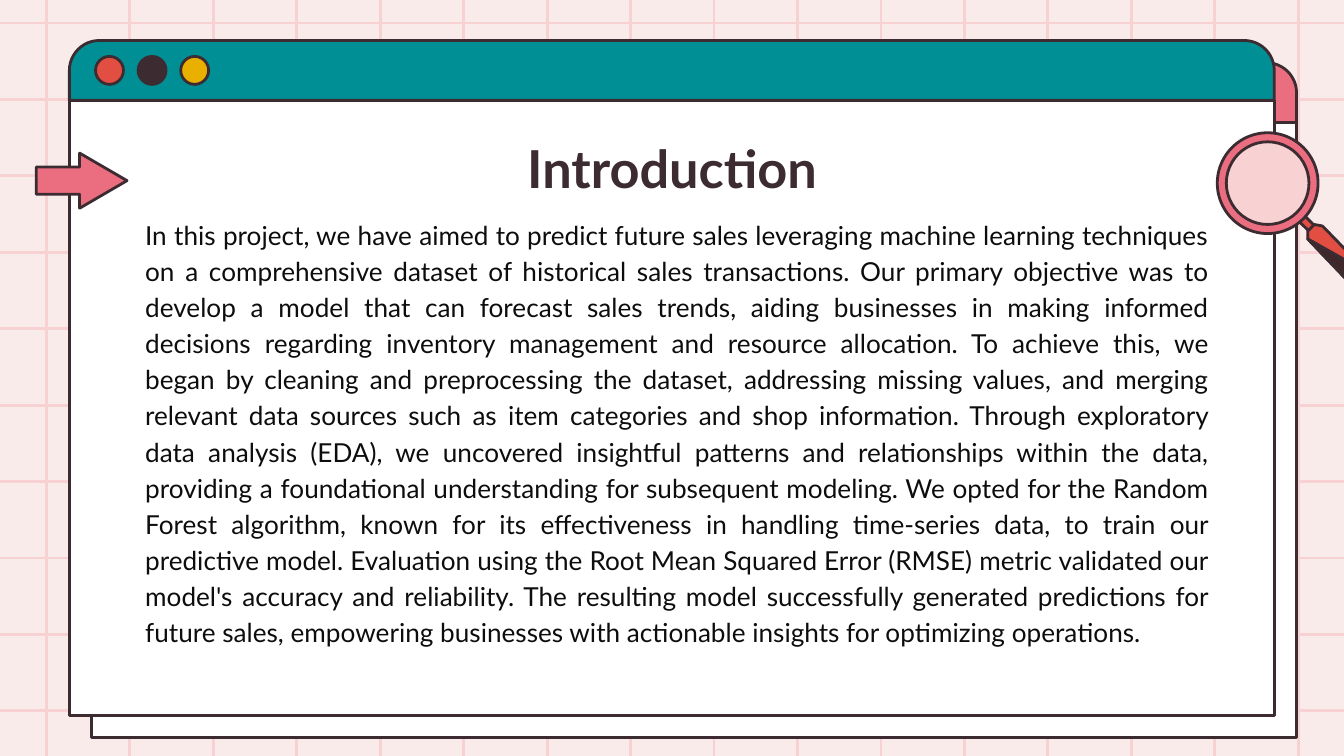
"""Build the Introduction slide: a browser window on a pink grid."""
from lxml import etree
from pptx import Presentation
from pptx.dml.color import RGBColor
from pptx.enum.shapes import MSO_CONNECTOR, MSO_SHAPE
from pptx.enum.text import MSO_ANCHOR, MSO_AUTO_SIZE, PP_ALIGN
from pptx.oxml.ns import qn
from pptx.util import Inches, Pt

STRAIGHT = MSO_CONNECTOR.STRAIGHT
RECTANGLE, OVAL, DONUT = MSO_SHAPE.RECTANGLE, MSO_SHAPE.OVAL, MSO_SHAPE.DONUT
ARROW, ROUND_TOP = MSO_SHAPE.RIGHT_ARROW, MSO_SHAPE.ROUND_2_SAME_RECTANGLE
CENTER, JUSTIFY = PP_ALIGN.CENTER, PP_ALIGN.JUSTIFY
TOP, NO_FIT = MSO_ANCHOR.TOP, MSO_AUTO_SIZE.NONE

BLUSH = RGBColor(0xFA, 0xEB, 0xEB)
ROSE = RGBColor(0xF8, 0xD2, 0xD2)
PINK = RGBColor(0xEB, 0x6E, 0x80)
TEAL = RGBColor(0x00, 0x8F, 0x95)
RED = RGBColor(0xE2, 0x4E, 0x42)
YELLOW = RGBColor(0xE9, 0xB0, 0x00)
INK = RGBColor(0x3C, 0x2C, 0x31)
SHADE = RGBColor(0x3E, 0x28, 0x2C)
BLACK = RGBColor(0x0D, 0x0D, 0x0D)
WHITE = RGBColor(0xFF, 0xFF, 0xFF)
STROKE = Pt(1.5)

SENTENCES = (
    "In this project, we have aimed to predict future sales leveraging machine "
    "learning techniques on a comprehensive dataset of historical sales transactions.",
    "Our primary objective was to develop a model that can forecast sales trends, "
    "aiding businesses in making informed decisions regarding inventory management "
    "and resource allocation.",
    "To achieve this, we began by cleaning and preprocessing the dataset, addressing "
    "missing values, and merging relevant data sources such as item categories and "
    "shop information.",
    "Through exploratory data analysis (EDA), we uncovered insightful patterns and "
    "relationships within the data, providing a foundational understanding for "
    "subsequent modeling.",
    "We opted for the Random Forest algorithm, known for its effectiveness in "
    "handling time-series data, to train our predictive model.",
    "Evaluation using the Root Mean Squared Error (RMSE) metric validated our "
    "model's accuracy and reliability.",
    "The resulting model successfully generated predictions for future sales, "
    "empowering businesses with actionable insights for optimizing operations.",
)

deck = Presentation()
deck.slide_width, deck.slide_height = Inches(10), Inches(5.625)
COLUMN, ROW = deck.slide_width / 100, deck.slide_height / 100
page = deck.slides.add_slide(deck.slide_layouts[0])
page.background.fill.solid()
page.background.fill.fore_color.rgb = BLUSH


def paint(shape, color):
    """Give a shape its fill and the dark outline."""
    shape.shadow.inherit = False
    shape.fill.solid()
    shape.fill.fore_color.rgb = color
    shape.line.color.rgb = INK
    shape.line.width = STROKE


def draw(kind, left, top, width, height, color):
    """Add a painted preset shape, placed in columns and rows."""
    shape = page.shapes.add_shape(
        kind, int(left * COLUMN), int(top * ROW), int(width * COLUMN), int(height * ROW))
    paint(shape, color)
    return shape


verticals = [(3.45 + 6.21 * i, 0, 3.45 + 6.21 * i, 100) for i in range(16)]
horizontals = [(0, 3.05 + 10.11 * i, 100, 3.05 + 10.11 * i) for i in range(10)]
for x1, y1, x2, y2 in verticals + horizontals:
    grid_line = page.shapes.add_connector(
        STRAIGHT, int(x1 * COLUMN), int(y1 * ROW), int(x2 * COLUMN), int(y2 * ROW))
    grid_line.line.color.rgb = ROSE
    grid_line.line.width = STROKE
    etree.SubElement(grid_line._element.spPr, qn("a:effectLst"))

WINDOW_WIDTH, BAR_HEIGHT, PANE_HEIGHT = 89.65, 7.92, 81.4
for left, top, bar_color in ((6.82, 8.3, PINK), (5.16, 5.36, TEAL)):
    draw(RECTANGLE, left, top + BAR_HEIGHT, WINDOW_WIDTH, PANE_HEIGHT, WHITE)
    bar = draw(ROUND_TOP, left, top, WINDOW_WIDTH, BAR_HEIGHT, bar_color)
    bar.adjustments[0] = 0.5
    for i, dot_color in enumerate((RED, INK, YELLOW)):
        draw(OVAL, left + 1.95 + 3.17 * i, top + 2.1, 2.08, 3.7, dot_color)

title, body = page.placeholders
texts = (
    (body, " ".join(SENTENCES), (9.8, 26.67, 81.2, 59.2), JUSTIFY, 1.15, 14, BLACK, False),
    (title, "Introduction", (9.8, 16.2, 80.4, 11.2), CENTER, 1, 28, INK, True),
)
for box, words, (left, top, width, height), align, spacing, size, color, bold in texts:
    box.left, box.top = int(left * COLUMN), int(top * ROW)
    box.width, box.height = int(width * COLUMN), int(height * ROW)
    frame = box.text_frame
    frame.text = words
    frame.word_wrap, frame.auto_size, frame.vertical_anchor = True, NO_FIT, TOP
    frame.margin_left = frame.margin_right = Inches(0.1)
    frame.margin_top = frame.margin_bottom = Inches(0.1)
    para = frame.paragraphs[0]
    para.alignment, para.line_spacing, para.space_before = align, spacing, Pt(0)
    span = para.runs[0]
    span.font.name, span.font.size, span.font.bold = "Lato", Pt(size), bold
    span.font.color.rgb = color
    page.shapes._spTree.append(box._element)

collar = [(97.7, 31.1), (98.1, 30.4), (97, 28.4), (96.6, 29.2)]
grip = [(101.4, 35.7), (101.3, 36.3), (101, 36.8), (100.8, 37), (100.2, 37),
        (97.3, 31.6), (97.3, 30.6), (97.8, 29.7), (98.4, 29.9), (101.3, 35.2)]
for outline, color in ((collar, RED), (grip, RED), (grip[:6], SHADE)):
    points = [(int(x * COLUMN), int(y * ROW)) for x, y in outline]
    builder = page.shapes.build_freeform(*points[0])
    builder.add_line_segments(points[1:], close=True)
    paint(builder.convert_to_shape(), color)

draw(OVAL, 91, 18.3, 6.7, 11.9, ROSE)
ring = draw(DONUT, 90.57, 17.56, 7.5, 13.33, PINK)
ring.adjustments[0] = 0.09

pointer = draw(ARROW, 2.7, 20.25, 6.75, 7.3, PINK)
pointer.adjustments[0], pointer.adjustments[1] = 0.49, 0.86

deck.save("out.pptx")
